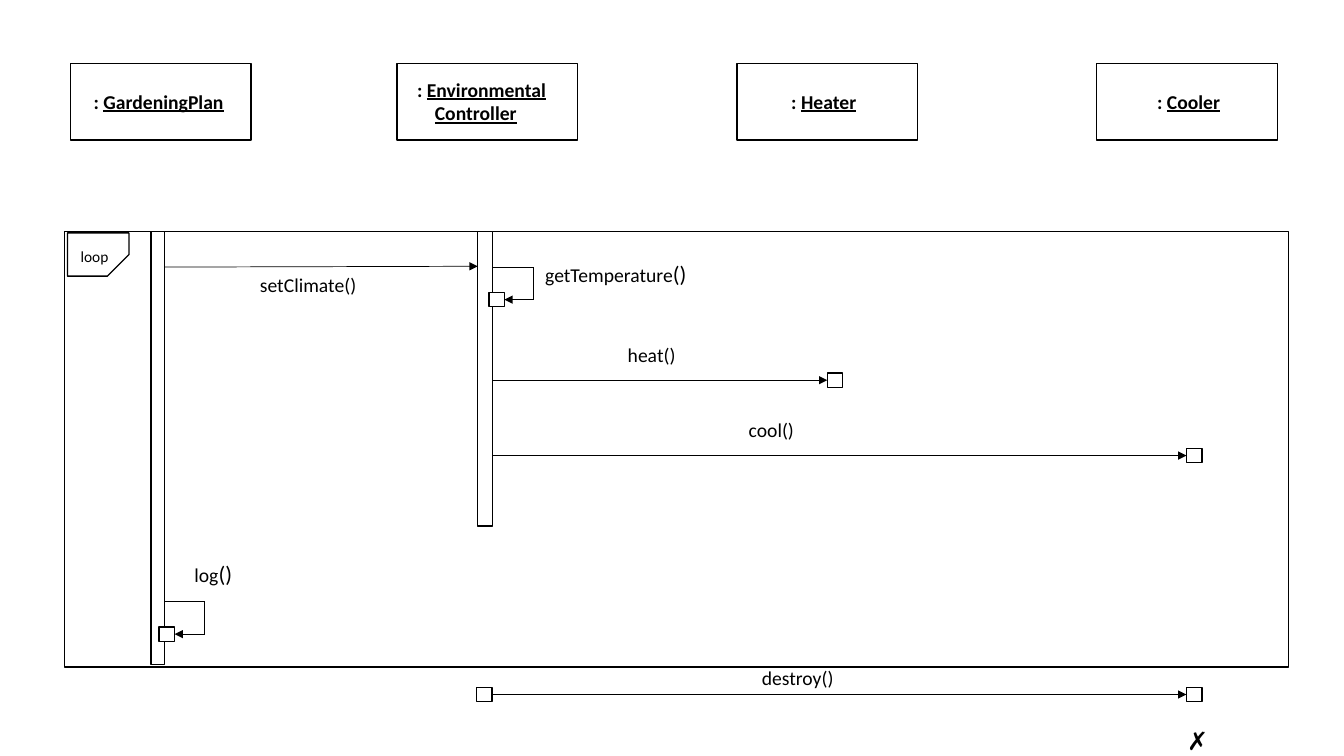
from lxml import etree
from pptx import Presentation
from pptx.dml.color import RGBColor
from pptx.enum.shapes import MSO_CONNECTOR, MSO_SHAPE
from pptx.oxml.ns import qn
from pptx.util import Cm, Pt

BLACK = RGBColor(0, 0, 0)
WHITE = RGBColor(255, 255, 255)
RECTANGLE = MSO_SHAPE.RECTANGLE
SNIPPED = MSO_SHAPE.SNIP_1_RECTANGLE
STRAIGHT = MSO_CONNECTOR.STRAIGHT
LEFT_SIDE, RIGHT_SIDE = 1, 3

# Lengths in centimetres
FRAME_TOP = 5.84
PLAN_BAR_LEFT, PLAN_BAR_RIGHT = 3.81, 4.14
CONTROLLER_BAR_LEFT, CONTROLLER_BAR_RIGHT = 12.04, 12.42
COOLER_LEFT = 29.9
STEP_WIDTH, STEP_HEIGHT = 0.39, 0.36


def add_outline(page, left, top, width, height, kind=RECTANGLE):
    shape = page.shapes.add_shape(kind, Cm(left), Cm(top), Cm(width), Cm(height))
    shape.shadow.inherit = False
    shape.fill.solid()
    shape.fill.fore_color.rgb = WHITE
    shape.line.color.rgb = BLACK
    shape.line.width = Pt(1)
    return shape


def add_step(page, left, top):
    """Small activation box."""
    return add_outline(page, left, top, STEP_WIDTH, STEP_HEIGHT)


def add_line(page, start, end, arrow=False, source=None, target=None,
             target_side=LEFT_SIDE):
    line = page.shapes.add_connector(
        STRAIGHT, Cm(start[0]), Cm(start[1]), Cm(end[0]), Cm(end[1]))
    if source is not None:
        line.begin_connect(source, RIGHT_SIDE)
    if target is not None:
        line.end_connect(target, target_side)
    line.line.color.rgb = BLACK
    line.line.width = Pt(0.5)
    properties = line._element.spPr
    if arrow:
        etree.SubElement(properties.find(qn("a:ln")), qn("a:tailEnd"), type="triangle")
    etree.SubElement(properties, qn("a:effectLst"))


def add_span(para, text, size=14, bold=False, underline=False):
    span = para.add_run()
    span.text = text
    span.font.name = "Calibri"
    span.font.size = Pt(size)
    span.font.bold = bold
    span.font.underline = underline
    span.font.color.rgb = BLACK


def add_text_box(page, left, top, width, height):
    box = page.shapes.add_textbox(Cm(left), Cm(top), Cm(width), Cm(height))
    box.text_frame.word_wrap = True
    return box.text_frame


def add_label(page, text, left, top, width=3.66, height=0.86, size=14, brackets=None):
    para = add_text_box(page, left, top, width, height).paragraphs[0]
    add_span(para, text, size=size)
    if brackets:
        add_span(para, "()", size=brackets)


def add_participant(page, names, box_left, text_left):
    add_outline(page, box_left, 1.6, 4.55, 1.93)
    height = 0.27 + 0.59 * len(names)
    frame = add_text_box(page, text_left, 2.56 - height / 2, 4.04, height)
    para = frame.paragraphs[0]
    add_span(para, ": ", bold=True)
    add_span(para, names[0], bold=True, underline=True)
    for name in names[1:]:
        para = frame.add_paragraph()
        para._p.get_or_add_pPr().set("marL", str(Cm(0.45)))
        add_span(para, name, bold=True, underline=True)


def add_self_call(page, bar_right, step_left, step_top):
    step = add_step(page, step_left, step_top)
    start_y, end_y = step_top - 0.64, step_top + STEP_HEIGHT / 2
    turn = bar_right + 1.02
    add_line(page, (bar_right, start_y), (turn, start_y))
    add_line(page, (turn, start_y), (turn, end_y))
    add_line(page, (turn, end_y), (step_left + STEP_WIDTH, end_y), arrow=True,
             target=step, target_side=RIGHT_SIDE)


def add_message(page, left, top, start_x, source=None):
    """Arrow that ends at a new activation box."""
    target = add_step(page, left, top)
    y = top + STEP_HEIGHT / 2
    add_line(page, (start_x, y), (left, y), arrow=True, source=source, target=target)


def main():
    deck = Presentation()
    deck.slide_width, deck.slide_height = Cm(33.87), Cm(19.05)
    page = deck.slides.add_slide(deck.slide_layouts[6])

    # Loop frame and its tag
    add_outline(page, 1.63, FRAME_TOP, 30.84, 10.97)
    tag = add_outline(page, 1.93, 5.64, 1.09, 1.55, SNIPPED)
    tag.adjustments[0] = 0.5
    tag.rotation = 90
    add_label(page, "loop", 1.78, 6.1, 1.24, 0.74, size=11)

    # Participants
    for names, box_left, text_left in (
        (["GardeningPlan"], 1.78, 2.11),
        (["Environmental", "Controller"], 10.01, 10.26),
        (["Heater"], 18.57, 19.69),
        (["Cooler"], 27.64, 28.91),
    ):
        add_participant(page, names, box_left, text_left)

    # Activation bars
    for left, right, height in (
        (PLAN_BAR_LEFT, PLAN_BAR_RIGHT, 10.9),
        (CONTROLLER_BAR_LEFT, CONTROLLER_BAR_RIGHT, 7.42),
    ):
        add_outline(page, left, FRAME_TOP, right - left, height)

    # Calls inside the loop
    add_line(page, (PLAN_BAR_RIGHT, 6.73), (CONTROLLER_BAR_LEFT, 6.71), arrow=True)
    add_self_call(page, CONTROLLER_BAR_RIGHT, 12.32, 7.37)
    add_message(page, 20.85, 9.4, CONTROLLER_BAR_RIGHT)
    add_message(page, COOLER_LEFT, 11.3, CONTROLLER_BAR_RIGHT)
    add_self_call(page, PLAN_BAR_RIGHT, 4.01, 15.8)

    # Destruction after the loop
    destroyer = add_step(page, 12.01, 17.32)
    add_message(page, COOLER_LEFT, 17.32, 12.4, source=destroyer)
    add_label(page, "✗", 29.67, 18.16, 1.24, 1.02, size=18)

    # Message names
    for text, left, top in (
        ("setClimate()", 6.3, 6.76),
        ("heat()", 15.57, 8.51),
        ("cool()", 18.62, 10.41),
        ("destroy()", 18.95, 16.66),
    ):
        add_label(page, text, left, top)
    for text, left, top in (("getTemperature", 13.49, 6.43), ("log", 4.65, 14)):
        add_label(page, text, left, top, 4.6, 0.94, brackets=16)

    deck.save("out.pptx")


if __name__ == "__main__":
    main()
